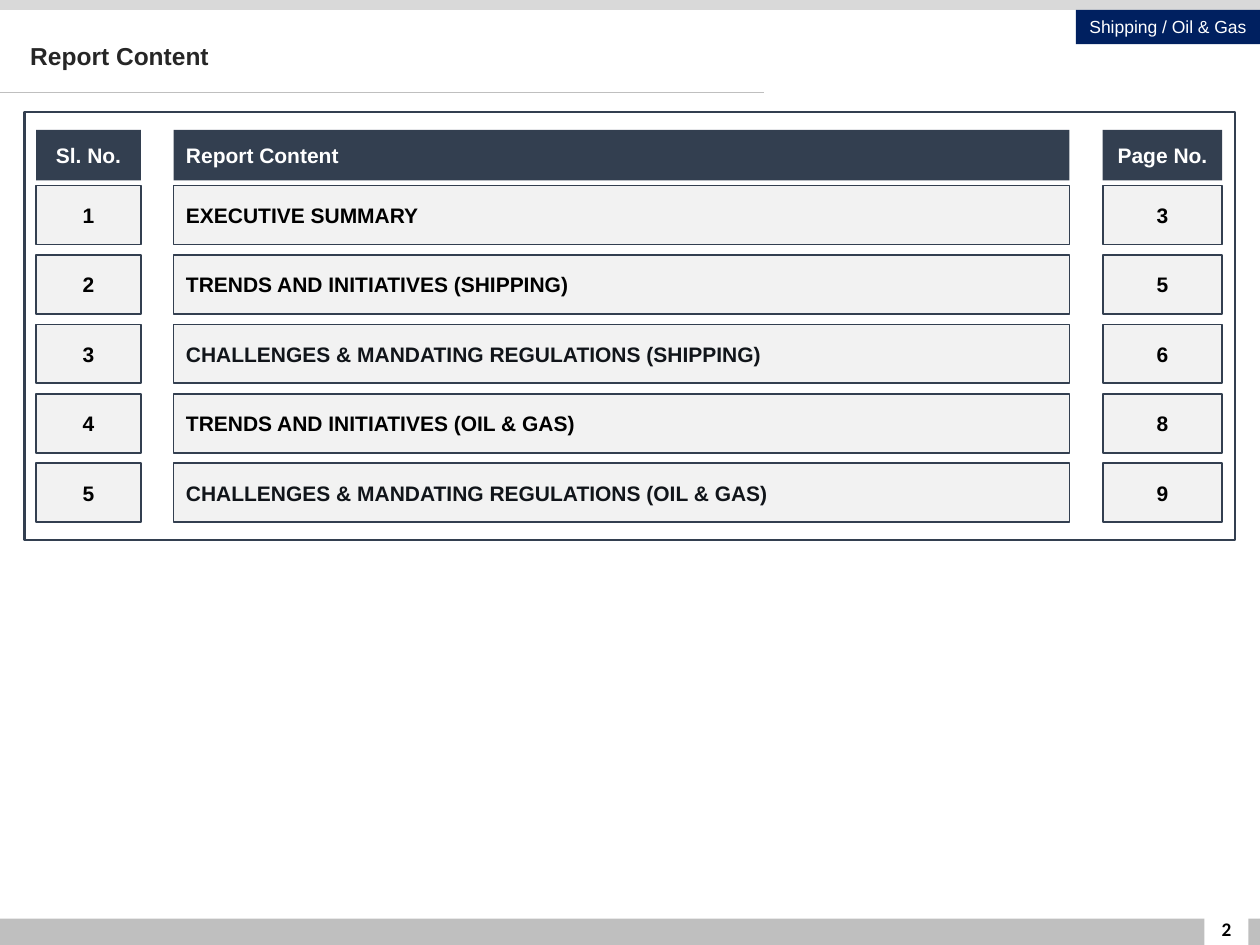
from lxml import etree
from pptx import Presentation
from pptx.dml.color import RGBColor
from pptx.enum import shapes, text
from pptx.oxml.ns import qn
from pptx.util import Cm, Pt

HEX = {"navy": "002060", "slate": "333F50", "pale": "F2F2F2", "white": "FFFFFF",
       "black": "000000", "ink": "11151A", "title": "262626",
       "bar": "BFBFBF", "band": "D9D9D9"}
LEFT, MID = text.PP_ALIGN.LEFT, text.PP_ALIGN.CENTER

# Offset in the frame, width, alignment
COLS = [(0.23, 2.11, MID), (3.0, 18.06, LEFT), (21.73, 2.41, MID)]
HEAD = ["Sl. No.", "Report Content", "Page No."]
ROWS = [
    ("EXECUTIVE SUMMARY", 3, "black"),
    ("TRENDS AND INITIATIVES (SHIPPING)", 5, "black"),
    ("CHALLENGES & MANDATING REGULATIONS (SHIPPING)", 6, "ink"),
    ("TRENDS AND INITIATIVES (OIL & GAS)", 8, "black"),
    ("CHALLENGES & MANDATING REGULATIONS (OIL & GAS)", 9, "ink"),
]


def color(name):
    return RGBColor.from_string(HEX[name])


def write(shape, words, size, ink, bold=True, align=MID, face="Arial"):
    frame = shape.text_frame
    frame.word_wrap = True
    frame.vertical_anchor = text.MSO_ANCHOR.MIDDLE
    para = frame.paragraphs[0]
    para.text = words
    para.alignment = align
    font = para.font
    font.name, font.size, font.bold = face, Pt(size), bold
    font.color.rgb = color(ink)
    return para


def rect(parent, x, y, w, h, fill=None, line=None, width=1):
    box = parent.add_shape(shapes.MSO_SHAPE.RECTANGLE, Cm(x), Cm(y), Cm(w), Cm(h))
    box.shadow.inherit = False
    if fill:
        box.fill.solid()
        box.fill.fore_color.rgb = color(fill)
    else:
        box.fill.background()
    if line:
        box.line.color.rgb = color(line)
        box.line.width = Pt(width)
    else:
        box.line.fill.background()
    return box


def label(parent, x, y, w, h, *args, **style):
    box = parent.add_textbox(Cm(x), Cm(y), Cm(w), Cm(h))
    return write(box, *args, **style)


def footer(parent, x, y, w, h):
    rect(parent, x, y, w, h, "bar")
    rect(parent, x + 24.28, y - 0.4, 0.89, 0.96, "white")
    label(parent, x + 24.1, y - 0.31, 1.25, 1.02, "2", 11, "black", face="Calibri")


def header(parent, x, y, w):
    rect(parent, x, y, w, 0.2, "band")
    # Title and the rule below it
    para = label(parent, x + 0.36, y + 0.53, 21.84, 1.27,
                 "Report Content", 14, "title", align=LEFT)
    para.line_spacing = 0.9
    rule = parent.add_connector(shapes.MSO_CONNECTOR.STRAIGHT,
                                Cm(x), Cm(y + 1.87), Cm(x + 15.41), Cm(y + 1.87))
    rule.line.color.rgb = color("bar")
    rule.line.width = Pt(0.5)
    etree.SubElement(rule._element.spPr, qn("a:effectLst"))
    # Sector tag
    tag = rect(parent, x + w - 3.71, y + 0.2, 3.71, 0.69, "navy")
    write(tag, "Shipping / Oil & Gas", 10, "white", bold=False)


def row(parent, x, y, h, cells, inks, fill, line=None):
    group = parent.add_group_shape().shapes
    for (dx, w, align), words, ink in zip(COLS, cells, inks):
        box = rect(group, x + dx, y, w, h, fill, line)
        write(box, words, 12, ink, align=align)


def index(parent, x, y, w, h):
    rect(parent, x, y, w, h, line="slate", width=1.5)
    row(parent, x, y + 0.36, 1.02, HEAD, ["white"] * 3, "slate")
    for i, (topic, page, ink) in enumerate(ROWS):
        row(parent, x, y + 1.48 + 1.4 * i, 1.19, [str(i + 1), topic, str(page)],
            ["black", ink, "black"], "pale", "slate")


def main():
    deck = Presentation()
    deck.slide_width, deck.slide_height = Cm(25.4), Cm(19.05)
    parts = deck.slides.add_slide(deck.slide_layouts[6]).shapes
    footer(parts, 0, 18.52, 25.4, 0.53)
    header(parts, 0, 0, 25.4)
    index(parts, 0.5, 2.26, 24.4, 8.63)
    deck.save("out.pptx")


if __name__ == "__main__":
    main()
